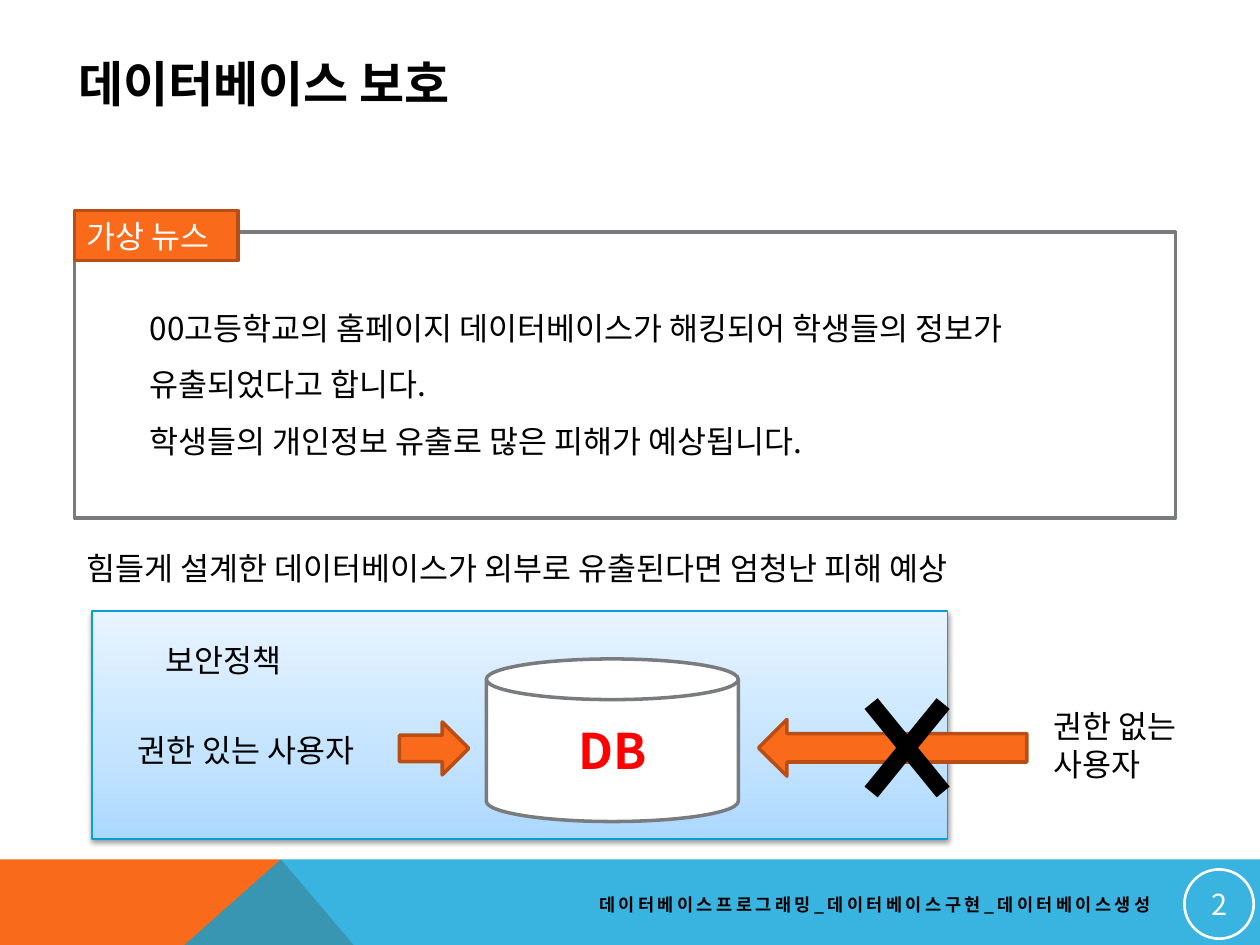
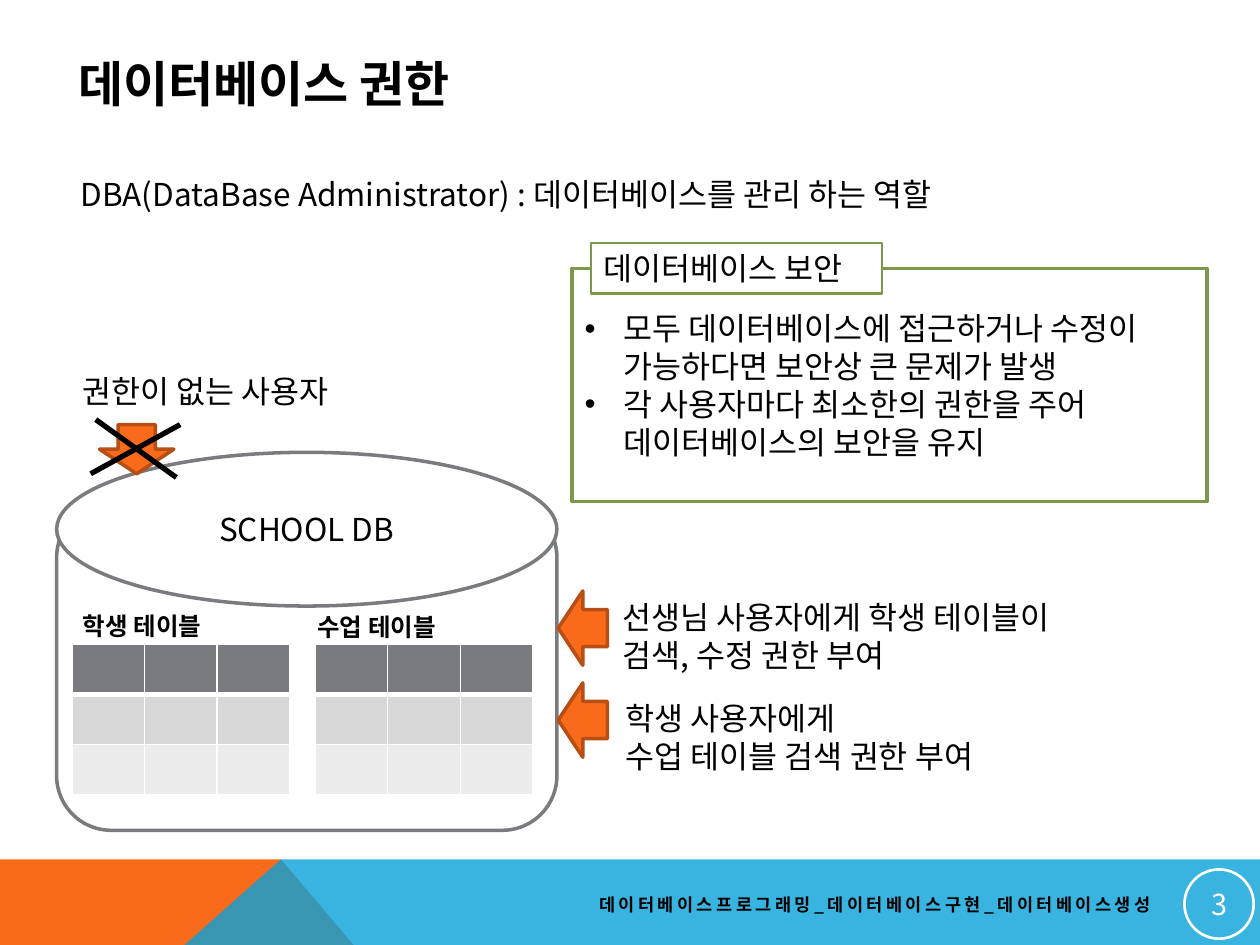
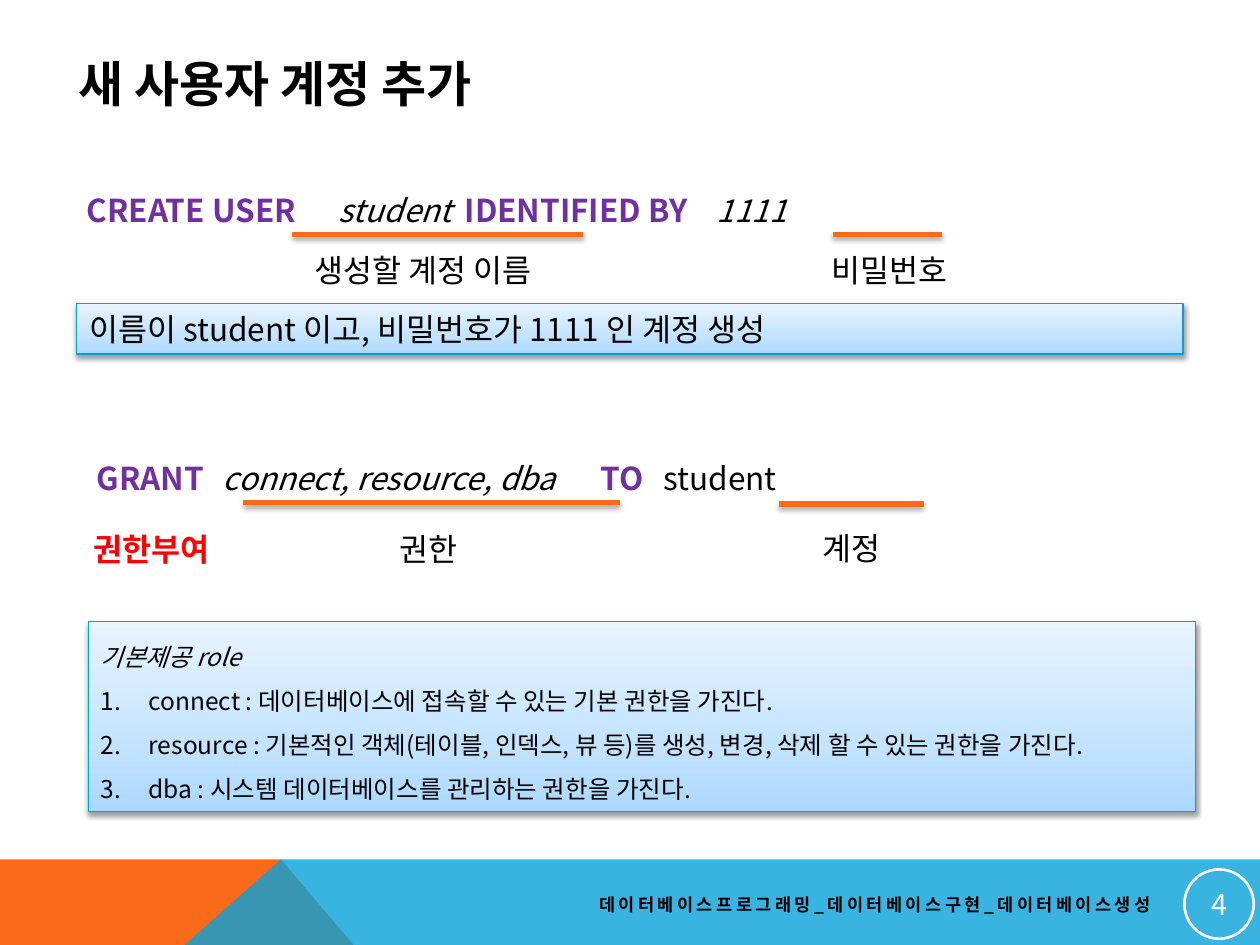
import copy

import pptx
import pptx.util
import pptx.dml.color
import pptx.enum.shapes
import pptx.enum.text
import pptx.oxml
import pptx.oxml.ns
from lxml import etree

Inches, Pt = pptx.util.Inches, pptx.util.Pt
SHAPE = pptx.enum.shapes.MSO_SHAPE
ALIGN = pptx.enum.text.PP_ALIGN
ANCHOR = pptx.enum.text.MSO_ANCHOR
qn = pptx.oxml.ns.qn

FONT = "Noto Sans CJK KR"
COLORS = {
    "black": "000000", "white": "FFFFFF", "red": "FF0000", "purple": "7030A0",
    "orange": "F96A1B", "rust": "B84E14", "blue": "08A1D9", "sky": "03A0D9",
    "gray": "797B7E", "green": "7C984A", "row_dark": "D7D7D8", "row_light": "ECECEC",
    "grad_low": "ABD8FF", "grad_mid": "C3E3FF", "grad_high": "E8F4FF",
}
GRADIENT = [(0, "grad_low"), (0.35, "grad_mid"), (1, "grad_high")]
TABLE_ROWS = ["gray", "row_dark", "row_light"]

BOXES = {
    "plain": {},
    "gray_frame": {"line": ("gray", 2)},
    "database": {"fill": "white", "line": ("gray", 2)},
    "green_frame": {"fill": "white", "line": ("green", 2)},
    "green_label": {"fill": "white", "line": ("green", 1.5)},
    "orange": {"fill": "orange", "line": ("rust", 2)},
    "cross": {"fill": "black"},
    "badge": {"line": ("white", 1.5)},
    "panel": {"fill": "gradient", "line": ("sky", 0.75), "shadow": (38, 1.6)},
}
TITLE = {"size": 28, "bold": True}
BODY = {"size": 18}
SMALL = {"size": 14}
SMALL_BOLD = {"size": 14, "bold": True}
KEYWORD = {"bold": True, "color": "purple"}
ITALIC = {"italic": True}
WARNING = {"size": 18, "bold": True, "color": "red"}
FOOTER = "데이터베이스프로그래밍_데이터베이스구현_데이터베이스생성"
FOOTER_FONT = {"size": 10, "bold": True, "spacing": 200}

NEWS = {"left": 0.5, "line_spacing": 1.5}
BULLET = {"left": 0.31, "indent": -0.31, "bullet": "•"}
NUMBER = {"left": 0.38, "indent": -0.38, "bullet": "1.", "line_spacing": 1.5}

SLIDES = [
    {
        "title": "데이터베이스 보호",
        "body": {
            "at": (0.59, 1.84, 8.74, 2.27), "box": "gray_frame", "anchor": "MIDDLE", "font": BODY,
            "paras": [
                ("00고등학교의 홈페이지 데이터베이스가 해킹되어 학생들의 정보가", NEWS),
                ("유출되었다고 합니다.", NEWS),
                ("학생들의 개인정보 유출로 많은 피해가 예상됩니다.", NEWS),
            ],
        },
        "shapes": [
            {"at": (0.73, 4.85, 6.79, 1.81), "box": "panel"},
            {"at": (0.59, 1.67, 1.3, 0.4), "box": "orange", "paras": ["가상 뉴스"],
             "font": {"size": 18, "color": "white"}},
            {"at": (0.59, 4.31, 7.9, 0.4),
             "paras": ["힘들게 설계한 데이터베이스가 외부로 유출된다면 엄청난 피해 예상"]},
            {"at": (3.86, 5.23, 2, 1.29), "preset": "CAN", "box": "database", "paras": ["DB"],
             "font": {"size": 28, "bold": True, "color": "red"},
             "anchor": "MIDDLE", "align": "CENTER"},
            {"at": (6.02, 5.71, 2.13, 0.45), "preset": "RIGHT_ARROW", "box": "orange", "turn": 180},
            {"at": (3.17, 5.73, 0.55, 0.42), "preset": "RIGHT_ARROW", "box": "orange"},
            {"at": (0.93, 4.99, 1.69, 0.49), "paras": ["보안정책"],
             "anchor": "MIDDLE", "align": "CENTER"},
            {"at": (0.99, 5.75, 2.15, 0.4), "paras": ["권한 있는 사용자"]},
            {"at": (8.26, 5.56, 1.39, 0.71), "paras": ["권한 없는", "사용자"]},
            {"at": (6.65, 5.26, 1.1, 1.35), "preset": "MATH_MULTIPLY", "box": "cross", "adjust": 0.122},
        ],
    },
    {
        "title": "데이터베이스 권한",
        "body": {
            "at": (4.54, 2.13, 5.04, 1.85), "box": "green_frame", "anchor": "MIDDLE", "font": BODY,
            "paras": [
                ("모두 데이터베이스에 접근하거나 수정이 가능하다면 보안상 큰 문제가 발생", BULLET),
                ("각 사용자마다 최소한의 권한을 주어 데이터베이스의 보안을 유지", BULLET),
            ],
        },
        "shapes": [
            {"at": (0.45, 3.99, 3.97, 2.6), "preset": "ROUNDED_RECTANGLE", "box": "database"},
            {"at": (0.45, 3.59, 3.97, 1.22), "preset": "OVAL", "box": "database",
             "paras": ["SCHOOL DB"], "anchor": "MIDDLE", "align": "CENTER"},
            {"at": (0.54, 1.34, 7.75, 0.4),
             "paras": ["DBA(DataBase Administrator) : 데이터베이스를 관리 하는 역할"]},
            {"at": (0.56, 4.8, 1.32, 0.34), "paras": ["학생 테이블"], "font": SMALL_BOLD},
            {"at": (2.42, 4.81, 1.32, 0.34), "paras": ["수업 테이블"], "font": SMALL_BOLD},
            {"at": (4.84, 4.7, 4.09, 0.71),
             "paras": ["선생님 사용자에게 학생 테이블이", "검색, 수정 권한 부여"]},
            {"at": (4.87, 5.5, 3.34, 0.71),
             "paras": ["학생 사용자에게", "수업 테이블 검색 권한 부여"]},
            {"at": (4.43, 4.69, 0.39, 0.59), "preset": "RIGHT_ARROW", "box": "orange", "turn": 180},
            {"at": (4.43, 5.42, 0.39, 0.59), "preset": "RIGHT_ARROW", "box": "orange", "turn": 180},
            {"at": (4.69, 1.93, 2.31, 0.4), "box": "green_label", "paras": ["데이터베이스 보안"]},
            {"at": (0.89, 3.27, 0.39, 0.59), "preset": "RIGHT_ARROW", "box": "orange", "turn": 90},
            {"at": (0.56, 2.9, 2.4, 0.4), "paras": ["권한이 없는 사용자"]},
        ],
        "tables": [(0.57, 5.11, 1.73, 1.2), (2.5, 5.11, 1.73, 1.2)],
        "lines": [(1.43, 3.37, 0.72, 3.76), (0.76, 3.33, 1.4, 3.79)],
        "line_color": "black",
    },
    {
        "title": "새 사용자 계정 추가",
        "body": {
            "at": (0.7, 4.93, 8.79, 1.51), "box": "panel", "font": SMALL,
            "paras": [
                ([("기본제공 role", ITALIC)], {"line_spacing": 1.5}),
                ("connect : 데이터베이스에 접속할 수 있는 기본 권한을 가진다.", NUMBER),
                ("resource : 기본적인 객체(테이블, 인덱스, 뷰 등)를 생성, 변경, "
                 "삭제 할 수 있는 권한을 가진다.", NUMBER),
                ("dba : 시스템 데이터베이스를 관리하는 권한을 가진다.", NUMBER),
            ],
        },
        "shapes": [
            {"at": (0.59, 1.47, 6.97, 0.4), "paras": [
                ([("CREATE USER\t", KEYWORD), ("student\t", ITALIC),
                  ("IDENTIFIED BY\t", KEYWORD), ("1111", ITALIC)], {"tabs": (2.12, 3.51, 5.52)})]},
            {"at": (2.4, 1.94, 2.15, 0.4), "paras": ["생성할 계정 이름"]},
            {"at": (6.5, 1.94, 1.21, 0.4), "paras": ["비밀번호"]},
            {"at": (0.61, 2.41, 8.78, 0.4), "box": "panel",
             "paras": ["이름이 student 이고, 비밀번호가 1111 인 계정 생성"]},
            {"at": (0.67, 3.59, 6.74, 0.4), "paras": [
                ([("GRANT\t", KEYWORD), ("connect, resource, dba\t", ITALIC),
                  ("TO\t", KEYWORD), ("student", {})], {"tabs": (1.19, 4.21, 4.94)})]},
            {"at": (0.64, 4.16, 1.21, 0.4), "paras": ["권한부여"], "font": WARNING},
            {"at": (3.07, 4.16, 0.71, 0.4), "paras": ["권한"]},
            {"at": (6.4, 4.15, 0.71, 0.4), "paras": ["계정"], "align": "CENTER"},
        ],
        "lines": [(2.32, 1.86, 4.63, 1.86), (6.61, 1.86, 7.48, 1.86),
                  (1.93, 3.99, 4.92, 3.99), (6.18, 4, 7.33, 4)],
        "line_color": "orange",
        "line_shadow": (35, 1.8),
    },
]
FIRST_NUMBER = 2
BANDS = [
    ("orange", None, [(0, 8.8), (0, 6.82), (2.23, 6.82), (3.91, 8.8)]),
    ("blue", 80, [(0, 8.8), (2.23, 6.82), (10, 6.82), (10, 8.8)]),
]


def rgb(name):
    return pptx.dml.color.RGBColor.from_string(COLORS[name])


def add(parent, tag, **attrs):
    return etree.SubElement(parent, qn(tag), {k: str(v) for k, v in attrs.items()})


def set_effects(shape, shadow=None):
    effects = shape.element.spPr.find(qn("a:effectLst"))
    if effects is None:
        effects = add(shape.element.spPr, "a:effectLst")
    if shadow:
        alpha, distance = shadow
        outer = add(effects, "a:outerShdw", blurRad=Pt(3.1), dist=Pt(distance),
                    dir=90 * 60000, rotWithShape=0)
        add(add(outer, "a:srgbClr", val=COLORS["black"]), "a:alpha", val=alpha * 1000)


def set_box(shape, fill=None, line=None, shadow=None):
    if fill == "gradient":
        shape.fill.gradient()
        shape.fill.gradient_angle = 90
        stops = shape.element.spPr.find(".//" + qn("a:gsLst"))
        stops.insert(1, copy.deepcopy(stops[0]))
        for stop, (position, color) in zip(shape.fill.gradient_stops, GRADIENT):
            stop.position, stop.color.rgb = position, rgb(color)
    elif fill:
        shape.fill.solid()
        shape.fill.fore_color.rgb = rgb(fill)
    else:
        shape.fill.background()
    if line:
        shape.line.color.rgb, shape.line.width = rgb(line[0]), Pt(line[1])
    else:
        shape.line.fill.background()
    set_effects(shape, shadow)


def set_font(r, size, color="black", spacing=None, **flags):
    values = {"name": FONT, "size": Pt(size), "bold": False, "italic": False, **flags}
    for key, value in values.items():
        setattr(r.font, key, value)
    r.font.color.rgb = rgb(color)
    rPr = r.font._element
    add(rPr, "a:ea", typeface=FONT)
    if spacing:
        rPr.set("spc", str(spacing))


def set_paragraph(p, align, line_spacing=1, left=0, indent=0, bullet=None, tabs=()):
    values = {"alignment": getattr(ALIGN, align), "line_spacing": line_spacing,
              "space_before": Pt(0), "space_after": Pt(0)}
    for key, value in values.items():
        setattr(p, key, value)
    pPr = p._p.get_or_add_pPr()
    pPr.set("marL", str(Inches(left)))
    pPr.set("indent", str(Inches(indent)))
    if bullet == "1.":
        add(pPr, "a:buFont", typeface="+mj-lt")
        add(pPr, "a:buAutoNum", type="arabicPeriod")
    elif bullet:
        add(pPr, "a:buFont", typeface="Arial")
        add(pPr, "a:buChar", char=bullet)
    else:
        add(pPr, "a:buNone")
    if tabs:
        tab_list = add(pPr, "a:tabLst")
        for tab in tabs:
            add(tab_list, "a:tab", pos=Inches(tab), algn="l")


def write(shape, paras, font=BODY, align="LEFT", anchor="TOP", inset=None):
    tf = shape.text_frame
    tf.word_wrap = True
    tf.auto_size = pptx.enum.text.MSO_AUTO_SIZE.NONE
    tf.vertical_anchor = getattr(ANCHOR, anchor)
    if inset is not None:
        for side in ("left", "top", "right", "bottom"):
            setattr(tf, "margin_" + side, Inches(inset))
    for i, para in enumerate(paras):
        runs, layout = (para, {}) if isinstance(para, str) else para
        p = tf.add_paragraph() if i else tf.paragraphs[0]
        set_paragraph(p, align, **layout)
        for text, extra in [(runs, {})] if isinstance(runs, str) else runs:
            r = p.add_run()
            r.text = text
            set_font(r, **{**font, **extra})


def place(shape, at):
    for key, value in zip(("left", "top", "width", "height"), at):
        setattr(shape, key, Inches(value))


def add_item(s, at, preset="RECTANGLE", box=None, turn=0, adjust=None, paras=(), **text):
    lengths = [Inches(v) for v in at]
    if box:
        sp = s.shapes.add_shape(getattr(SHAPE, preset), *lengths)
        set_box(sp, **BOXES[box])
        sp.rotation = turn
        if adjust:
            sp.adjustments[0] = adjust
    else:
        sp = s.shapes.add_textbox(*lengths)
    if paras:
        write(sp, paras, **text)


def add_grid(s, at):
    count = len(TABLE_ROWS)
    table = s.shapes.add_table(count, count, *[Inches(v) for v in at]).table
    for row, color in enumerate(TABLE_ROWS):
        table.rows[row].height = Inches(at[3] / count)
        for col in range(count):
            cell = table.cell(row, col)
            cell.margin_top = cell.margin_bottom = 0
            tcPr = cell._tc.get_or_add_tcPr()
            widths = {"L": 1, "R": 1, "T": 3 if row == 1 else 1, "B": 1 if row else 3}
            for side, width in widths.items():
                ln = add(tcPr, "a:ln" + side, w=Pt(width))
                add(add(ln, "a:solidFill"), "a:srgbClr", val=COLORS["white"])
            cell.fill.solid()
            cell.fill.fore_color.rgb = rgb(color)


def add_line(s, ends, color, shadow):
    line = s.shapes.add_connector(pptx.enum.shapes.MSO_CONNECTOR.STRAIGHT, *[Inches(v) for v in ends])
    line.line.color.rgb, line.line.width = rgb(color), Pt(3)
    set_effects(line, shadow)


def add_bands(master, s):
    for i, (color, alpha, points) in enumerate(BANDS):
        corners = [(Inches(x), Inches(y)) for x, y in points]
        builder = s.shapes.build_freeform(*corners[0])
        builder.add_line_segments(corners[1:], close=True)
        band = builder.convert_to_shape()
        set_box(band, color)
        if alpha:
            add(band.element.spPr.find(".//" + qn("a:srgbClr")), "a:alpha", val=alpha * 1000)
        master.shapes.element.insert(2 + i, band.element)


prs = pptx.Presentation()
prs.slide_width, prs.slide_height = Inches(10), Inches(7.5)

for number, content in enumerate(SLIDES, FIRST_NUMBER):
    s = prs.slides.add_slide(prs.slide_layouts[1])
    if number == FIRST_NUMBER:
        add_bands(prs.slide_master, s)
    title, body = s.placeholders
    place(title, (0.52, 0.36, 8.22, 0.6))
    write(title, [content["title"]], TITLE, anchor="MIDDLE")
    body_text = dict(content["body"])
    place(body, body_text.pop("at"))
    set_box(body, **BOXES[body_text.pop("box")])
    write(body, **body_text)
    for item in content["shapes"]:
        add_item(s, **item)
    for at in content.get("tables", []):
        add_grid(s, at)
    for ends in content.get("lines", []):
        add_line(s, ends, content["line_color"], content.get("line_shadow"))
    add_item(s, (4.06, 7.03, 5.17, 0.3), paras=[FOOTER], font=FOOTER_FONT,
             align="RIGHT", anchor="MIDDLE")
    add_item(s, (9.4, 6.9, 0.55, 0.55), "OVAL", "badge", paras=[str(number)],
             font={"size": 16.5, "color": "white"}, align="CENTER", anchor="MIDDLE", inset=0.01)

prs.save("out.pptx")
